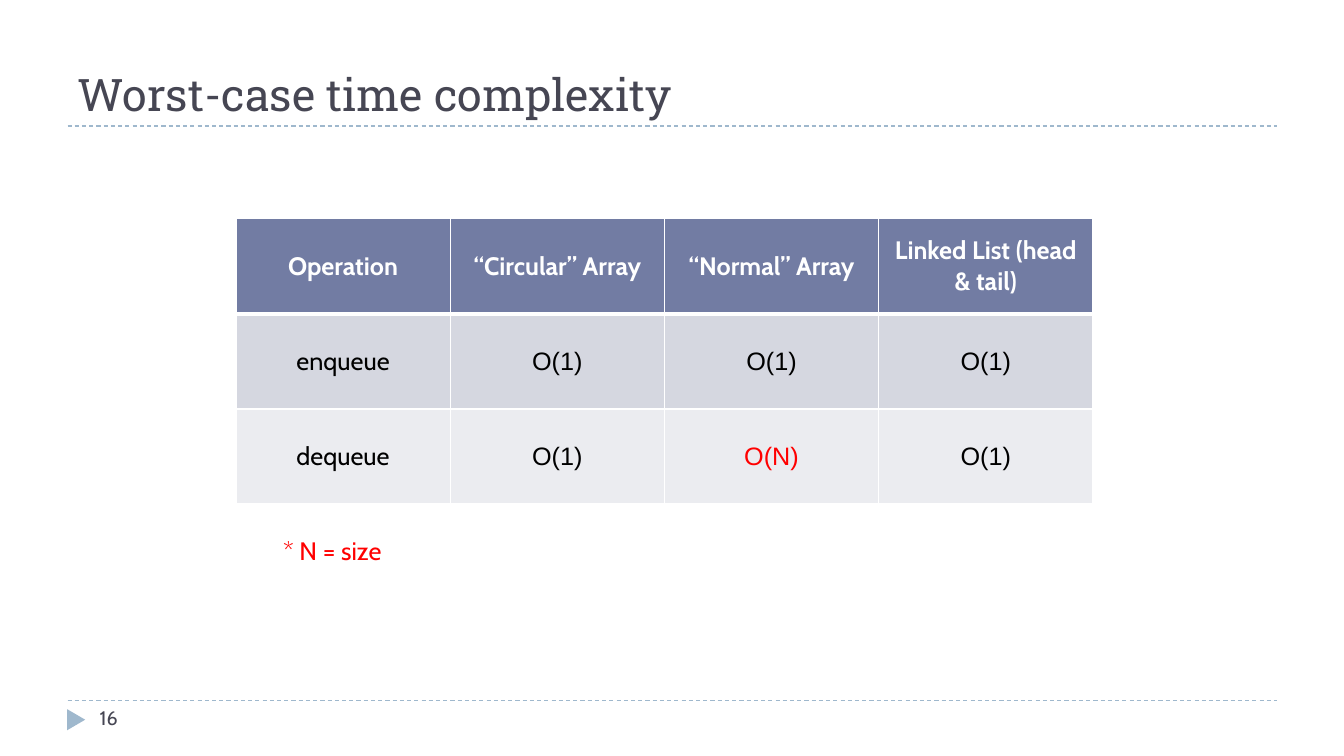
from dataclasses import dataclass

from lxml.etree import SubElement
from pptx import Presentation
from pptx.dml.color import RGBColor
from pptx.enum.dml import MSO_LINE
from pptx.enum.shapes import MSO_CONNECTOR, MSO_SHAPE
from pptx.enum.text import MSO_ANCHOR, MSO_AUTO_SIZE, PP_ALIGN
from pptx.oxml import parse_xml
from pptx.oxml.ns import nsdecls, qn
from pptx.util import Emu, Pt


@dataclass(frozen=True)
class Theme:
    """Colours, fonts and type sizes of the slide."""

    ink: str = "464653"
    accent: str = "9FB8CD"
    header: str = "727CA3"
    bands: tuple = ("D5D7E0", "EBECF0")
    white: str = "FFFFFF"
    black: str = "000000"
    alert: str = "FF0000"
    title_font: str = "Roboto Slab"
    body_font: str = "Cabin"
    value_font: str = "Arial"
    title_size: int = 32
    body_size: int = 18
    number_size: int = 14


THEME = Theme()
EMU_PER_PX = 9144
COMPLEXITIES = (
    ("Operation", "“Circular” Array", "“Normal” Array", "Linked List (head & tail)"),
    ("enqueue", "O(1)", "O(1)", "O(1)"),
    ("dequeue", "O(1)", "O(N)", "O(1)"),
)


def px(length):
    """Turn a length in px into EMU."""
    return Emu(length * EMU_PER_PX)


def write(frame, text, size, color, font=THEME.body_font, bold=False, align=PP_ALIGN.LEFT):
    """Set one formatted paragraph in a text frame."""
    frame.text = text
    para = frame.paragraphs[0]
    para.alignment = align
    for span in para.runs:
        span.font.size = Pt(size)
        span.font.name = font
        span.font.bold = bold
        span.font.color.rgb = RGBColor.from_string(color)


def place_title(page, text):
    """Move and format the title placeholder."""
    title = page.shapes.title
    title.left, title.top, title.width, title.height = map(px, (67, 17, 1200, 108))
    frame = title.text_frame
    frame.auto_size = MSO_AUTO_SIZE.NONE
    frame.vertical_anchor = MSO_ANCHOR.BOTTOM
    write(frame, text, THEME.title_size, THEME.ink, THEME.title_font)


def add_rule(page, top):
    """Add a dashed rule across the page."""
    rule = page.shapes.add_connector(MSO_CONNECTOR.STRAIGHT, px(67), px(top), px(1267), px(top))
    rule.line.color.rgb = RGBColor.from_string(THEME.accent)
    rule.line.width = Pt(0.75)
    rule.line.dash_style = MSO_LINE.DASH
    SubElement(rule.element.spPr, qn("a:effectLst"))


def add_marker(page):
    """Add the triangle that points at the page number."""
    marker = page.shapes.add_shape(
        MSO_SHAPE.ISOSCELES_TRIANGLE, px(65), px(705), px(21), px(18)
    )
    marker.rotation = 90
    marker.shadow.inherit = False
    marker.fill.solid()
    marker.fill.fore_color.rgb = RGBColor.from_string(THEME.accent)
    marker.line.fill.background()


def add_label(page, text, left, top, width, size, color, wrap):
    """Add a one-line text box."""
    box = page.shapes.add_textbox(px(left), px(top), px(width), px(40))
    box.text_frame.word_wrap = wrap
    write(box.text_frame, text, size, color)


def set_borders(cell, top, bottom):
    """Give a cell white borders with the given top and bottom weights."""
    weights = {"lnL": 1, "lnR": 1, "lnT": top, "lnB": bottom}
    properties = cell._tc.get_or_add_tcPr()
    for position, (side, weight) in enumerate(weights.items()):
        border = parse_xml(
            f'<a:{side} {nsdecls("a")} w="{Pt(weight)}"><a:solidFill>'
            f'<a:srgbClr val="{THEME.white}"/></a:solidFill></a:{side}>'
        )
        properties.insert(position, border)


def cell_style(row, column, text):
    """Return the fill, text colour and font of a cell."""
    if row == 0:
        return THEME.header, THEME.white, THEME.body_font
    color = THEME.alert if text == "O(N)" else THEME.black
    font = THEME.value_font if column else THEME.body_font
    return THEME.bands[(row - 1) % 2], color, font


def add_complexity_table(page, rows):
    """Add the table of operations and their complexities."""
    table = page.shapes.add_table(
        len(rows), len(rows[0]), px(234), px(217), px(850), px(283)
    ).table
    for row, texts in enumerate(rows):
        for column, text in enumerate(texts):
            cell = table.cell(row, column)
            fill, color, font = cell_style(row, column, text)
            cell.fill.solid()
            cell.fill.fore_color.rgb = RGBColor.from_string(fill)
            cell.vertical_anchor = MSO_ANCHOR.MIDDLE
            write(cell.text_frame, text, THEME.body_size, color, font, row == 0, PP_ALIGN.CENTER)
            set_borders(cell, 3 if row == 1 else 1, 3 if row == 0 else 1)


def main():
    """Build the slide and save the deck."""
    deck = Presentation()
    deck.slide_width, deck.slide_height = px(1333), px(750)
    page = deck.slides.add_slide(deck.slide_layouts.get_by_name("Title Only"))
    for top in (695, 125):
        add_rule(page, top)
    add_marker(page)
    place_title(page, "Worst-case time complexity")
    add_label(page, "16", 89, 695, 289, THEME.number_size, THEME.ink, True)
    add_complexity_table(page, COMPLEXITIES)
    add_label(page, "* N = size", 271, 526, 124, THEME.body_size, THEME.alert, False)
    deck.save("out.pptx")


if __name__ == "__main__":
    main()
